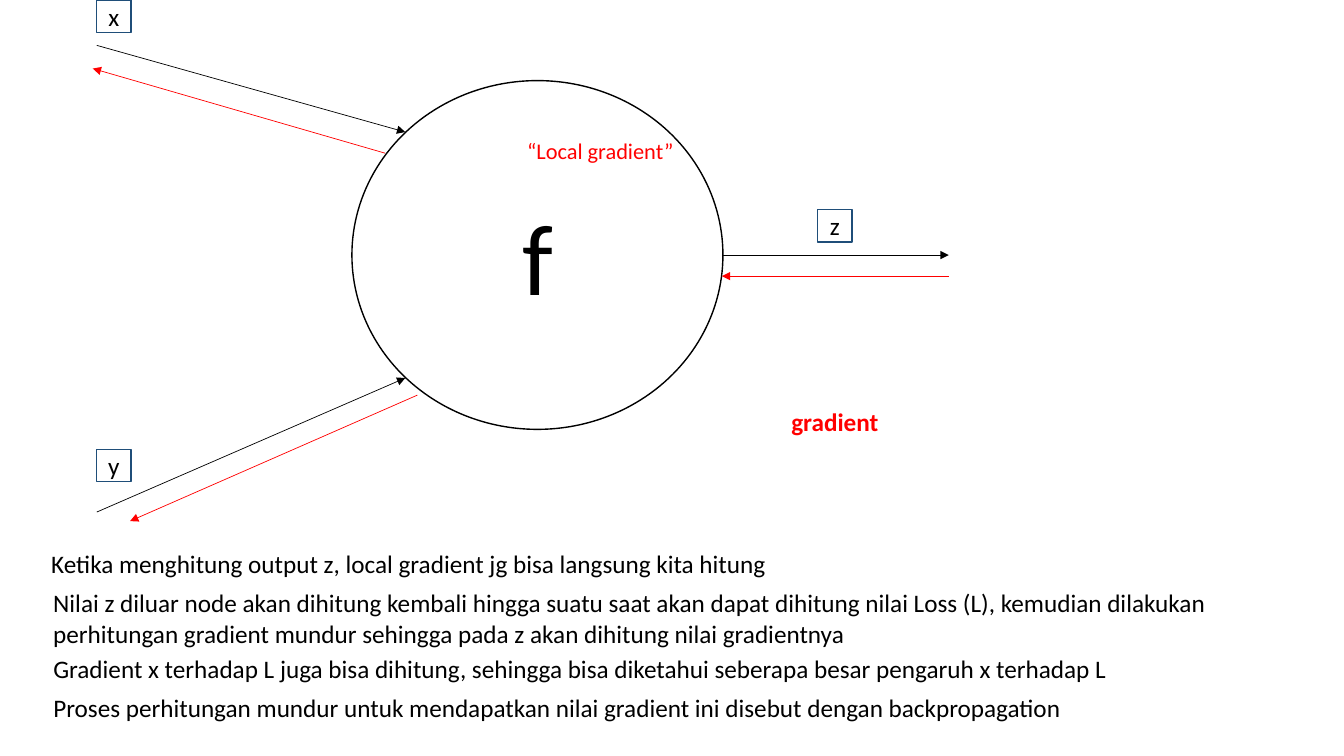
from lxml.etree import SubElement
from pptx import Presentation
from pptx.dml.color import RGBColor
from pptx.enum.shapes import MSO_CONNECTOR as Connector, MSO_SHAPE as Shape
from pptx.enum.text import MSO_ANCHOR as Anchor, MSO_AUTO_SIZE as AutoSize, PP_ALIGN as Align
from pptx.oxml import parse_xml
from pptx.oxml.ns import nsdecls, qn
from pptx.util import Emu, Pt

PX = 9144  # 100 px to the inch
BLACK = RGBColor(0x00, 0x00, 0x00)
WHITE = RGBColor(0xFF, 0xFF, 0xFF)
RED = RGBColor(0xFF, 0x00, 0x00)
NAVY = RGBColor(0x1F, 0x4E, 0x79)

# Left, top, width, height of the function node
NODE = (349, 80, 368, 346)

# Letter, left, top
VARIABLES = [("x", 96, 0), ("y", 96, 446), ("z", 811, 208)]

# Start, end, colour: black runs forward, red runs backward
ARROWS = [
    ((96, 45), (402, 131), BLACK),
    ((96, 508), (402, 375), BLACK),
    ((716, 253), (941, 253), BLACK),
    ((941, 274), (716, 274), RED),
    ((382, 152), (92, 68), RED),
    ((414, 392), (129, 517), RED),
]

# Text, place, wrap, format
BLACK_TEXT = {"size": Pt(18)}
TEXTS = [
    ("“Local gradient”", (513, 131, 167, 37), False, {"size": Pt(16), "color": RED}),
    ("gradient", (775, 398, 107, 40), False, {"size": Pt(18), "bold": True, "color": RED}),
    ("Ketika menghitung output z, local gradient jg bisa langsung kita hitung",
     (41, 539, 750, 40), False, BLACK_TEXT),
    ("Nilai z diluar node akan dihitung kembali hingga suatu saat akan dapat dihitung "
     "nilai Loss (L), kemudian dilakukan perhitungan gradient mundur sehingga pada z "
     "akan dihitung nilai gradientnya",
     (43, 578, 1226, 71), True, BLACK_TEXT),
    ("Gradient x terhadap L juga bisa dihitung, sehingga bisa diketahui seberapa besar "
     "pengaruh x terhadap L",
     (43, 643, 1078, 40), False, BLACK_TEXT),
    ("Proses perhitungan mundur untuk mendapatkan nilai gradient ini disebut dengan "
     "backpropagation",
     (43, 682, 1032, 40), False, BLACK_TEXT),
]


def px(*lengths):
    return [Emu(length * PX) for length in lengths]


def write(para, text, color=BLACK, **formats):
    span = para.add_run()
    span.text = text
    span.font.name = "Calibri"
    span.font.color.rgb = color
    for name, value in formats.items():
        setattr(span.font, name, value)
    return span


def add_letter_shape(page, kind, place, letter, size, line, fill=None):
    shape = page.shapes.add_shape(kind, *px(*place))
    shape.shadow.inherit = False
    if fill is None:
        shape.fill.background()
    else:
        shape.fill.solid()
        shape.fill.fore_color.rgb = fill
    shape.line.color.rgb = line
    shape.line.width = Pt(1)
    shape.text_frame.vertical_anchor = Anchor.MIDDLE
    para = shape.text_frame.paragraphs[0]
    para.alignment = Align.CENTER
    return write(para, letter, size=Pt(size))


def outline_letter(span):
    span.font._element.insert(0, parse_xml(
        f'<a:ln {nsdecls("a")} w="9525"><a:solidFill>'
        f'<a:srgbClr val="{BLACK}"/></a:solidFill></a:ln>'))


def add_arrow(page, start, end, color):
    arrow = page.shapes.add_connector(Connector.STRAIGHT, *px(*start, *end))
    arrow.line.color.rgb = color
    arrow.line.width = Pt(0.5)
    SubElement(arrow.line._get_or_add_ln(), qn("a:tailEnd"), type="triangle")
    SubElement(arrow._element.spPr, qn("a:effectLst"))


def add_text(page, text, place, wrap, formats):
    box = page.shapes.add_textbox(*px(*place))
    box.text_frame.word_wrap = wrap
    box.text_frame.auto_size = AutoSize.SHAPE_TO_FIT_TEXT
    write(box.text_frame.paragraphs[0], text, **formats)


def main():
    deck = Presentation()
    deck.slide_width, deck.slide_height = px(1333, 750)
    page = deck.slides.add_slide(deck.slide_layouts[6])

    # Function node
    outline_letter(add_letter_shape(page, Shape.OVAL, NODE, "f", 72, BLACK))

    # Inputs and output
    for letter, left, top in VARIABLES:
        add_letter_shape(page, Shape.RECTANGLE, (left, top, 34, 32), letter, 18, NAVY, WHITE)

    # Forward and backward passes
    for start, end, color in ARROWS:
        add_arrow(page, start, end, color)

    # Labels and explanation
    for text, place, wrap, formats in TEXTS:
        add_text(page, text, place, wrap, formats)

    deck.save("out.pptx")


if __name__ == "__main__":
    main()
